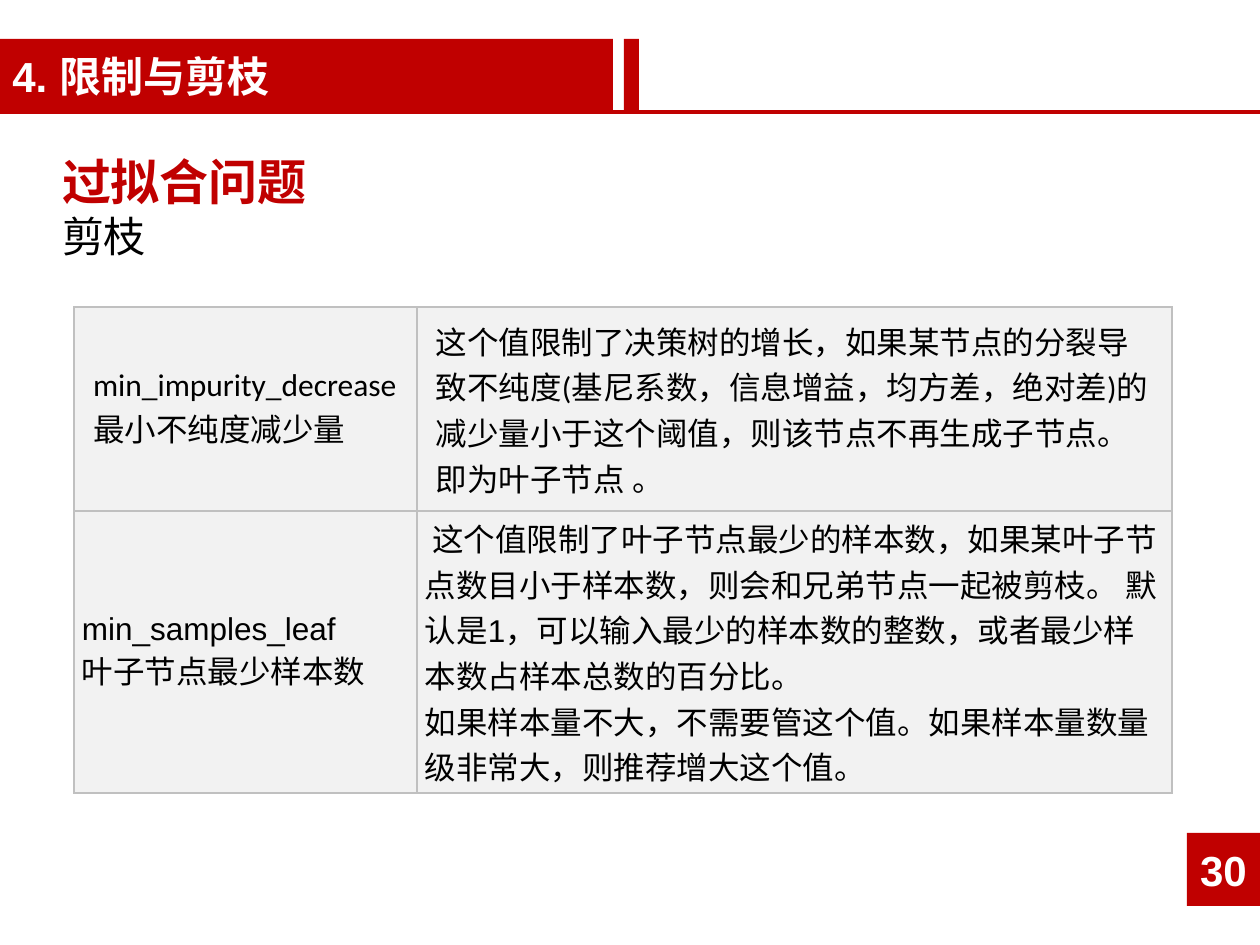
"""Build the slide on limiting and pruning decision trees."""
from lxml import etree
from pptx import Presentation
from pptx.dml.color import RGBColor
from pptx.enum.shapes import MSO_CONNECTOR, MSO_SHAPE
from pptx.enum.text import MSO_ANCHOR, PP_ALIGN
from pptx.oxml.ns import qn
from pptx.util import Pt

PX = 914400 // 126
RECT = MSO_SHAPE.RECTANGLE
STRAIGHT = MSO_CONNECTOR.STRAIGHT
MIDDLE, TOP = MSO_ANCHOR.MIDDLE, MSO_ANCHOR.TOP
LEFT, CENTER = PP_ALIGN.LEFT, PP_ALIGN.CENTER
CJK = "Noto Sans CJK SC"
COLORS = {"red": "C00000", "white": "FFFFFF", "black": "000000",
          "cell": "F2F2F2", "border": "C0C0C0"}


def rgb(name):
    return RGBColor.from_string(COLORS[name])


def format_text(p, size, font, color, bold=False):
    for r in p.runs:
        r.font.size = Pt(size)
        r.font.bold = bold
        r.font.color.rgb = rgb(color)
        r.font.name = font
        ea = etree.SubElement(r.font._element, qn("a:ea"))
        ea.set("typeface", CJK)


prs = Presentation()
prs.slide_width, prs.slide_height = 1260 * PX, 945 * PX
s = prs.slides.add_slide(prs.slide_layouts[6])

line = s.shapes.add_connector(STRAIGHT, 0, 112 * PX, 1260 * PX, 112 * PX)
line.line.color.rgb = rgb("red")
line.line.width = Pt(2)
etree.SubElement(line._element.spPr, qn("a:effectLst"))

boxes = [
    (1187, 833, 73, 73, "red", "30", CENTER),
    (624, 39, 15, 73, "red", "", LEFT),
    (0, 39, 613, 73, "red", "4. 限制与剪枝", LEFT),
    (62, 140, 1118, 151, "white", "过拟合问题\n剪枝", LEFT),
]
for x, y, w, h, fill, text, align in boxes:
    sp = s.shapes.add_shape(RECT, x * PX, y * PX, w * PX, h * PX)
    sp.shadow.inherit = False
    sp.fill.solid()
    sp.fill.fore_color.rgb = rgb(fill)
    sp.line.fill.background()
    tf = sp.text_frame
    tf.text = text
    tf.vertical_anchor = MIDDLE
    for p in tf.paragraphs:
        p.alignment = align
        format_text(p, 24, "Arial", "white", True)

tf.vertical_anchor = TOP
tf.margin_left = tf.margin_right = tf.margin_top = tf.margin_bottom = 0
heading, subheading = tf.paragraphs
heading.line_spacing = 1.2
for p, size, color, bold in ((heading, 28, "red", True),
                             (subheading, 24, "black", False)):
    for ea in list(p._p.iter(qn("a:ea"))):
        ea.getparent().remove(ea)
    format_text(p, size, CJK, color, bold)

rows = [
    (204, 19, 10, "Calibri", [
        "min_impurity_decrease\n最小不纯度减少量",
        "这个值限制了决策树的增长，如果某节点的分裂导致不纯度(基尼系数，信息增益，"
        "均方差，绝对差)的减少量小于这个阈值，则该节点不再生成子节点。即为叶子节点 。",
    ]),
    (282, 8, 4, "Arial", [
        "min_samples_leaf\n叶子节点最少样本数",
        " 这个值限制了叶子节点最少的样本数，如果某叶子节点数目小于样本数，"
        "则会和兄弟节点一起被剪枝。 默认是1，可以输入最少的样本数的整数，"
        "或者最少样本数占样本总数的百分比。\n"
        "如果样本量不大，不需要管这个值。如果样本量数量级非常大，则推荐增大这个值。",
    ]),
]
frame = s.shapes.add_table(2, 2, 74 * PX, 307 * PX, 1098 * PX, 486 * PX)
table = frame.table
table.first_row = table.horz_banding = False
for column, width in zip(table.columns, (343, 755)):
    column.width = width * PX
for row, (height, side, edge, font, texts) in zip(table.rows, rows):
    row.height = height * PX
    for cell, text in zip(row.cells, texts):
        cell.text_frame.text = text
        cell.vertical_anchor = MIDDLE
        cell.margin_left = cell.margin_right = side * PX
        cell.margin_top = cell.margin_bottom = edge * PX
        for p in cell.text_frame.paragraphs:
            format_text(p, 18, font, "black")
        tcPr = cell._tc.get_or_add_tcPr()
        for tag in ("a:lnL", "a:lnR", "a:lnT", "a:lnB"):
            ln = etree.SubElement(tcPr, qn(tag), w=str(Pt(0.75)))
            solid = etree.SubElement(ln, qn("a:solidFill"))
            etree.SubElement(solid, qn("a:srgbClr"), val=COLORS["border"])
        cell.fill.solid()
        cell.fill.fore_color.rgb = rgb("cell")

prs.save("out.pptx")
